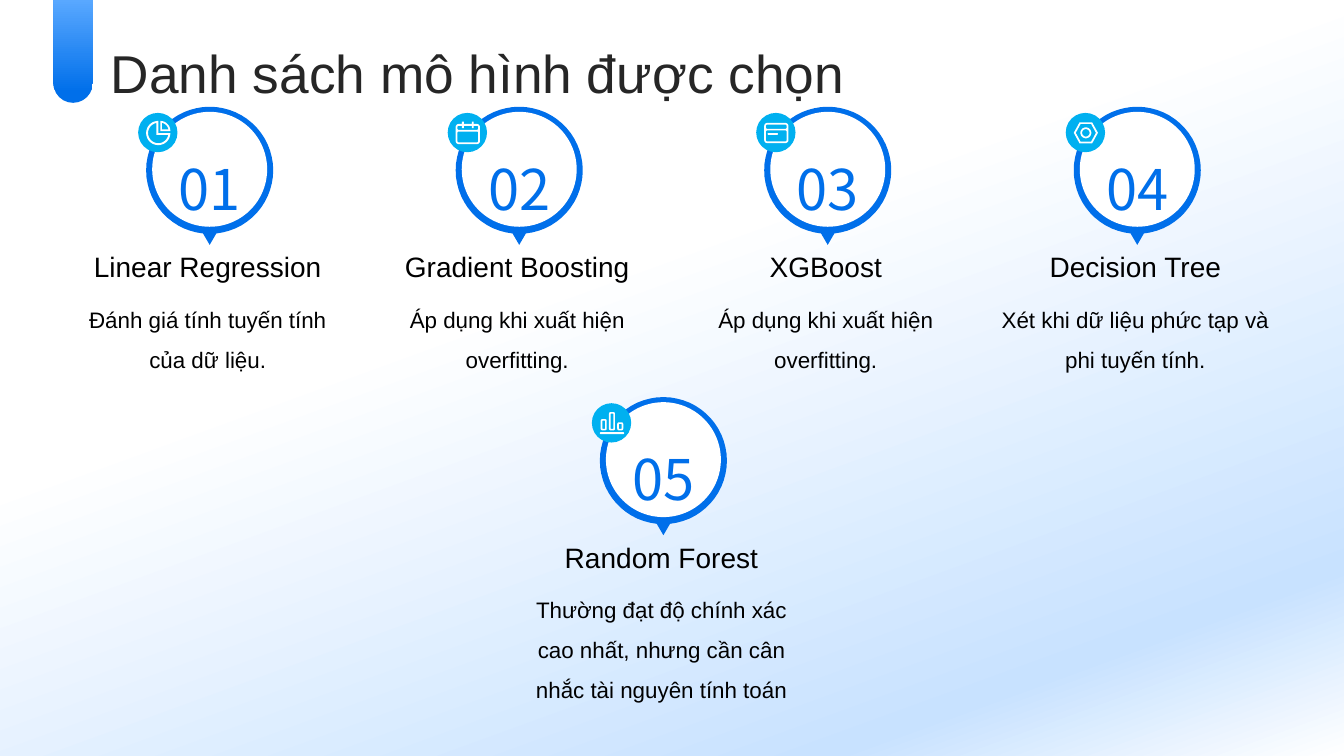
from dataclasses import dataclass
from math import cos, radians, sin

from lxml.etree import SubElement
from pptx import Presentation
from pptx.dml.color import RGBColor
from pptx.enum.shapes import MSO_SHAPE
from pptx.enum.text import MSO_ANCHOR, MSO_AUTO_SIZE, PP_ALIGN
from pptx.oxml.ns import qn
from pptx.util import Pt

PX = 9144  # EMU in one px, 100 px to the inch
FINE = PX / 10  # outlines are given in tenths of a px


@dataclass(frozen=True)
class Theme:
    blue: str = "006FEA"
    light_blue: str = "59A8FF"
    cyan: str = "00B0F0"
    mist: str = "C8E2FF"
    white: str = "FFFFFF"
    black: str = "000000"
    heading: str = "262626"
    font: str = "Arial"
    number_font: str = "Noto Sans CJK SC"
    heading_size: int = 38
    number_size: int = 40
    name_size: int = 20
    note_size: int = 16


THEME = Theme()


def arc(cx, cy, radius, start, end, step=6):
    """Points along a circle, in degrees clockwise from the right."""
    count = max(2, round(abs(end - start) / step))
    angles = [radians(start + (end - start) * i / count) for i in range(count + 1)]
    return [(cx + radius * cos(a), cy + radius * sin(a)) for a in angles]


def box(left, top, right, bottom, radius=0):
    """Outline of a rectangle, with rounded corners if a radius is given."""
    if not radius:
        return [(left, top), (right, top), (right, bottom), (left, bottom)]
    x1, x2, y1, y2 = left + radius, right - radius, top + radius, bottom - radius
    corners = [(x1, y1, 180), (x2, y1, 270), (x2, y2, 0), (x1, y2, 90)]
    return [point for x, y, start in corners
            for point in arc(x, y, radius, start, start + 90, 15)]


def hexagon(cx, cy, half_width, half_side, half_height):
    return [(cx - half_side, cy - half_height), (cx + half_side, cy - half_height),
            (cx + half_width, cy), (cx + half_side, cy + half_height),
            (cx - half_side, cy + half_height), (cx - half_width, cy)]


def bar(left, top):
    """Outer and inner outline of a hollow bar."""
    return [box(left, top, left + 60, 190, 18),
            box(left + 16, top + 16, left + 44, 174, 4)]


PIN = [arc(630, 630, 630, 96, 444) + [(630, 1370)]]

PIE_ICON = [
    arc(120, 120, 120, 0, 270) + [(120, 120)],
    arc(120, 120, 101, 11, 259) + [(101, 139)],
    arc(140, 100, 100, -90, 0) + [(140, 100)],
    arc(140, 100, 83, -79, -11) + [(156, 84)],
]
CALENDAR_ICON = [
    box(0, 30, 240, 230, 30), box(17, 48, 223, 88, 12), box(17, 105, 223, 212, 12),
    *[box(x, top, x + 18, bottom) for x in (62, 160) for top, bottom in ((6, 30), (48, 72))],
]
CARD_ICON = [
    box(0, 20, 240, 220, 30), box(17, 37, 223, 78, 12),
    box(17, 95, 223, 203, 12), box(34, 121, 136, 138, 8),
]
NUT_ICON = [
    hexagon(120, 118, 120, 62, 105), hexagon(120, 118, 100, 52, 88),
    arc(120, 118, 54, 0, 354), arc(120, 118, 37, 0, 354),
]
BARS_ICON = [*bar(8, 78), *bar(90, 8), *bar(172, 110), box(0, 208, 240, 226, 8)]

TOP_ROW = [
    ("Linear Regression", "Đánh giá tính tuyến tính của dữ liệu.", PIE_ICON),
    ("Gradient Boosting", "Áp dụng khi xuất hiện overfitting.", CALENDAR_ICON),
    ("XGBoost", "Áp dụng khi xuất hiện overfitting.", CARD_ICON),
    ("Decision Tree", "Xét khi dữ liệu phức tạp và phi tuyến tính.", NUT_ICON),
]
LAST_MODEL = (
    "Random Forest",
    "Thường đạt độ chính xác cao nhất, nhưng cần cân nhắc tài nguyên tính toán",
    BARS_ICON,
)


def paint(shape, color):
    shape.shadow.inherit = False
    shape.line.fill.background()
    shape.fill.solid()
    shape.fill.fore_color.rgb = RGBColor.from_string(color)


def paint_gradient(shape, stops, clockwise):
    """Fill with (percent, colour) stops at a clockwise angle."""
    shape.shadow.inherit = False
    shape.line.fill.background()
    shape.fill.gradient()
    shape.fill.gradient_angle = 360 - clockwise
    stop_list = shape._element.spPr.find(qn("a:gradFill")).find(qn("a:gsLst"))
    for old_stop in list(stop_list):
        stop_list.remove(old_stop)
    for percent, color in stops:
        stop = SubElement(stop_list, qn("a:gs"), pos=str(percent * 1000))
        SubElement(stop, qn("a:srgbClr"), val=color)


def add_preset(slide, kind, left, top, width, height):
    return slide.shapes.add_shape(kind, left * PX, top * PX, width * PX, height * PX)


def add_disc(slide, left, top, size, color):
    paint(add_preset(slide, MSO_SHAPE.OVAL, left, top, size, size), color)


def add_outline(slide, left, top, contours, color):
    """Draw closed contours as one shape; a contour inside another is a hole."""
    builder = slide.shapes.build_freeform(*contours[0][0], scale=FINE)
    for index, contour in enumerate(contours):
        if index:
            builder.move_to(*contour[0])
        builder.add_line_segments(contour[1:], close=True)
    paint(builder.convert_to_shape(left * PX, top * PX), color)


def add_text(slide, left, top, width, height, text, size, color, spacing,
             font=THEME.font, align=PP_ALIGN.CENTER, anchor=MSO_ANCHOR.TOP, inset=False):
    frame = slide.shapes.add_textbox(left * PX, top * PX, width * PX, height * PX).text_frame
    frame.word_wrap = True
    frame.vertical_anchor = anchor
    if not inset:
        frame.margin_left = frame.margin_right = frame.margin_top = frame.margin_bottom = 0
    paragraph = frame.paragraphs[0]
    paragraph.text = text
    paragraph.alignment = align
    paragraph.line_spacing = spacing
    paragraph.font.name = font
    paragraph.font.size = Pt(size)
    paragraph.font.color.rgb = RGBColor.from_string(color)
    return frame


def add_model(slide, left, top, number, name, note, icon):
    add_text(slide, left, top + 184, 268, 103, note, THEME.note_size, THEME.black, 1.5)
    name_frame = add_text(slide, left, top + 131, 268, 49, name, THEME.name_size, THEME.black,
                          1.3, anchor=MSO_ANCHOR.BOTTOM, inset=True)
    name_frame.auto_size = MSO_AUTO_SIZE.SHAPE_TO_FIT_TEXT
    add_outline(slide, left + 73, top, PIN, THEME.blue)
    add_disc(slide, left + 79, top + 5, 114, THEME.white)
    add_disc(slide, left + 65, top + 6, 39, THEME.cyan)
    add_outline(slide, left + 73, top + 14, icon, THEME.white)
    add_text(slide, left + 102, top + 27, 68, 67, f"{number:02}", THEME.number_size,
             THEME.blue, 1.3, font=THEME.number_font)


def add_backdrop(slide):
    backdrop = add_preset(slide, MSO_SHAPE.RECTANGLE, 0, 0, 1333, 750)
    paint_gradient(backdrop, [(1, THEME.white), (39, THEME.white),
                              (85, THEME.mist), (100, THEME.white)], 70)


def add_heading(slide):
    add_text(slide, 110, 45, 1150, 47, "Danh sách mô hình được chọn", THEME.heading_size,
             THEME.heading, 1.1, align=PP_ALIGN.LEFT, anchor=MSO_ANCHOR.MIDDLE)
    tab = add_preset(slide, MSO_SHAPE.ROUND_2_SAME_RECTANGLE, 53, 0, 39, 102)
    tab.adjustments[0], tab.adjustments[1] = 0, 0.5
    paint_gradient(tab, [(10, THEME.blue), (100, THEME.light_blue)], 270)


def main():
    deck = Presentation()
    deck.slide_width, deck.slide_height = 1333 * PX, 750 * PX
    slide = deck.slides.add_slide(deck.slide_layouts[6])
    add_backdrop(slide)
    for index, model in enumerate(TOP_ROW):
        add_model(slide, 72 + round(index * 920 / 3), 106, index + 1, *model)
    add_model(slide, 522, 394, len(TOP_ROW) + 1, *LAST_MODEL)
    add_heading(slide)
    deck.save("out.pptx")


if __name__ == "__main__":
    main()
